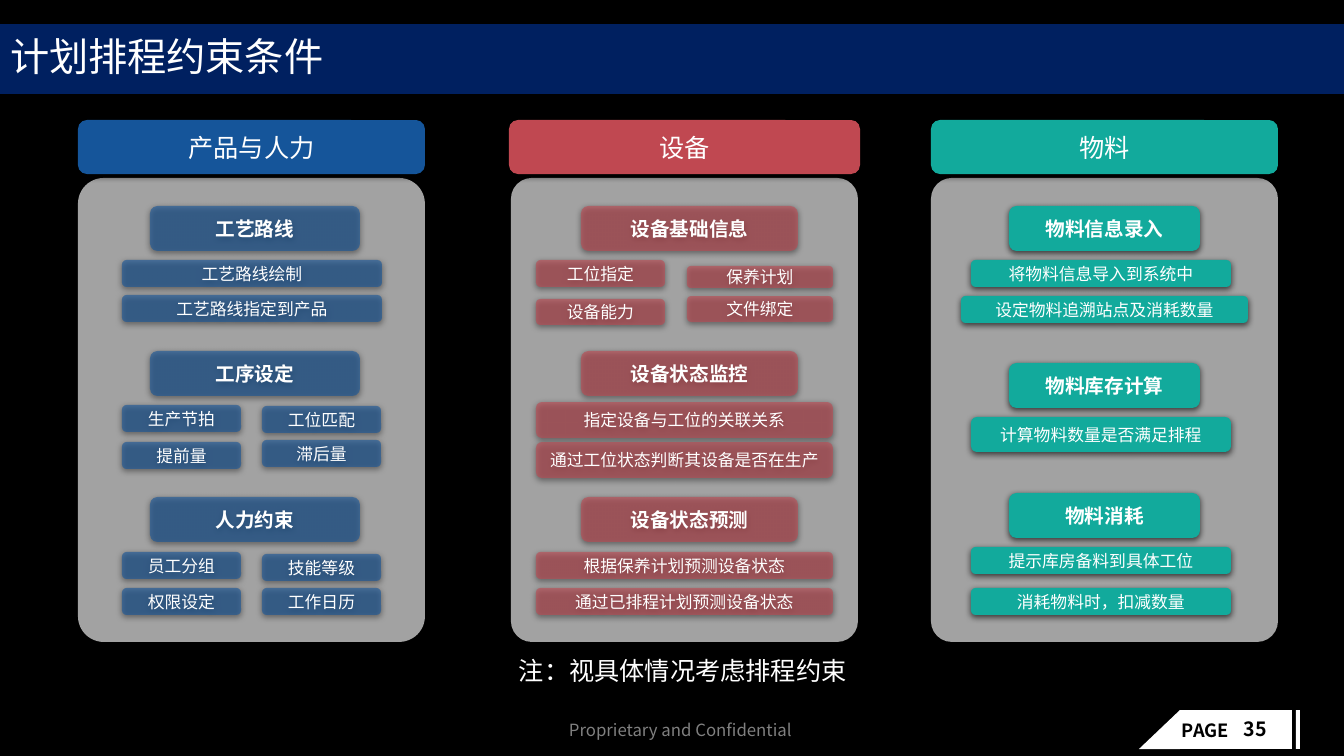
from lxml import etree
from pptx import Presentation
from pptx.dml.color import RGBColor
from pptx.enum.shapes import MSO_SHAPE
from pptx.enum.text import MSO_ANCHOR, MSO_AUTO_SIZE, PP_ALIGN
from pptx.oxml.ns import qn
from pptx.util import Pt

ROUNDED = MSO_SHAPE.ROUNDED_RECTANGLE
RECTANGLE = MSO_SHAPE.RECTANGLE
RIGHT_TRIANGLE = MSO_SHAPE.RIGHT_TRIANGLE
MIDDLE = MSO_ANCHOR.MIDDLE
NO_AUTOFIT = MSO_AUTO_SIZE.NONE
LEFT, CENTER = PP_ALIGN.LEFT, PP_ALIGN.CENTER

SLIDE_W, SLIDE_H = 1344, 756
SCALE = 12192000 / SLIDE_W
FONT = "Noto Sans CJK SC"
COLORS = {
    "black": "000000", "white": "FFFFFF", "navy": "002060", "grey": "808080",
    "panel": "D9D9D9", "blue": "15559A", "red": "C04851", "teal": "12AA9C",
}
HEADER_Y, HEADER_H = 120, 54
PANEL_Y, PANEL_W, PANEL_H = 178, 347, 464
HEADING_H, ITEM_H = 45, 27

COLUMNS = [
    {
        "title": "产品与人力", "color": "blue", "alpha": 60,
        "header": (78, 347), "panel_x": 78, "corner": 0.074, "heading": (150, 210),
        "slots": {"wide": (122, 260), "left": (122, 119), "right": (262, 119)},
        "groups": [
            ("工艺路线", 206, [("工艺路线绘制", "wide", 260, ITEM_H),
                           ("工艺路线指定到产品", "wide", 295, ITEM_H)]),
            ("工序设定", 351, [("生产节拍", "left", 405, ITEM_H),
                           ("提前量", "left", 442, ITEM_H),
                           ("工位匹配", "right", 406, ITEM_H),
                           ("滞后量", "right", 440, ITEM_H)]),
            ("人力约束", 497, [("员工分组", "left", 552, ITEM_H),
                           ("权限设定", "left", 588, ITEM_H),
                           ("技能等级", "right", 554, ITEM_H),
                           ("工作日历", "right", 588, ITEM_H)]),
        ],
    },
    {
        "title": "设备", "color": "red", "alpha": 60,
        "header": (509, 351), "panel_x": 511, "corner": 0.06, "heading": (581, 217),
        "slots": {"wide": (536, 297), "left": (536, 129), "right": (687, 146)},
        "groups": [
            ("设备基础信息", 206, [("工位指定", "left", 260, ITEM_H),
                             ("设备能力", "left", 299, 26),
                             ("保养计划", "right", 266, 22),
                             ("文件绑定", "right", 296, 26)]),
            ("设备状态监控", 351, [("指定设备与工位的关联关系", "wide", 402, 36),
                             ("通过工位状态判断其设备是否在生产", "wide", 442, 36)]),
            ("设备状态预测", 497, [("根据保养计划预测设备状态", "wide", 552, ITEM_H),
                             ("通过已排程计划预测设备状态", "wide", 588, ITEM_H)]),
        ],
    },
    {
        "title": "物料", "color": "teal", "alpha": 100,
        "header": (931, 347), "panel_x": 931, "corner": 0.06, "heading": (1009, 191),
        "slots": {"wide": (971, 260), "extra": (961, 287)},
        "groups": [
            ("物料信息录入", 206, [("将物料信息导入到系统中", "wide", 260, ITEM_H),
                             ("设定物料追溯站点及消耗数量", "extra", 296, ITEM_H)]),
            ("物料库存计算", 363, [("计算物料数量是否满足排程", "wide", 417, 35)]),
            ("物料消耗", 493, [("提示库房备料到具体工位", "wide", 547, ITEM_H),
                           ("消耗物料时，扣减数量", "wide", 588, ITEM_H)]),
        ],
    },
]


def px(*lengths):
    """Turn pixel lengths into EMU."""
    return [round(length * SCALE) for length in lengths]


def rgb(color):
    """Look up a named colour."""
    return RGBColor.from_string(COLORS[color])


def write(frame, text, size, color="white", bold=False, align=LEFT):
    """Fill a text frame with one vertically centred paragraph."""
    frame.text = text
    frame.word_wrap = True
    frame.vertical_anchor = MIDDLE
    paragraph = frame.paragraphs[0]
    paragraph.alignment = align
    font = paragraph.font
    font.name, font.size, font.bold = FONT, Pt(size), bold
    font.color.rgb = rgb(color)
    defaults = paragraph._p.pPr.find(qn("a:defRPr"))
    etree.SubElement(defaults, qn("a:ea"), typeface=FONT)


def add_block(slide, kind, box, color, alpha=100):
    """Add a borderless filled shape, optionally translucent."""
    block = slide.shapes.add_shape(kind, *px(*box))
    block.shadow.inherit = False
    block.line.fill.background()
    block.fill.solid()
    block.fill.fore_color.rgb = rgb(color)
    if alpha < 100:
        fill_color = block._element.spPr.find(".//" + qn("a:srgbClr"))
        etree.SubElement(fill_color, qn("a:alpha"), val=str(alpha * 1000))
    return block


def add_shadow(block):
    """Give a shape a soft shadow falling straight down."""
    effects = block._element.spPr.find(qn("a:effectLst"))
    shadow = etree.SubElement(effects, qn("a:outerShdw"), blurRad=str(Pt(4.5)),
                              dist=str(Pt(1.5)), dir="5400000", rotWithShape="0")
    shade = etree.SubElement(shadow, qn("a:srgbClr"), val=COLORS["black"])
    etree.SubElement(shade, qn("a:alpha"), val="63000")


def add_label(slide, box, text, size, color, alpha=100, bold=False):
    """Add a shadowed rounded label with centred white text."""
    label = add_block(slide, ROUNDED, box, color, alpha)
    add_shadow(label)
    frame = label.text_frame
    frame.margin_left = frame.margin_right = 0
    frame.margin_top = frame.margin_bottom = 0
    write(frame, text, size, bold=bold, align=CENTER)


def add_text(slide, box, text, size, color, bold=False):
    """Add a text box wide enough for its single line."""
    frame = slide.shapes.add_textbox(*px(*box)).text_frame
    write(frame, text, size, color, bold)


def add_title(slide, text):
    """Turn the title placeholder into the banner."""
    title = slide.shapes.title
    title.left, title.top, title.width, title.height = px(0, 24, SLIDE_W, 70)
    title.fill.solid()
    title.fill.fore_color.rgb = rgb("navy")
    frame = title.text_frame
    write(frame, text, 28)
    frame.auto_size = NO_AUTOFIT
    frame.paragraphs[0].line_spacing = 0.9


def add_column(slide, column):
    """Add one constraint column: panel, header, headings and items."""
    color, alpha = column["color"], column["alpha"]
    panel = add_block(slide, ROUNDED, (column["panel_x"], PANEL_Y, PANEL_W, PANEL_H),
                      "panel", 75)
    panel.adjustments[0] = column["corner"]
    header_x, header_w = column["header"]
    add_label(slide, (header_x, HEADER_Y, header_w, HEADER_H), column["title"], 18, color)
    heading_x, heading_w = column["heading"]
    for heading, heading_y, items in column["groups"]:
        add_label(slide, (heading_x, heading_y, heading_w, HEADING_H),
                  heading, 14, color, alpha, bold=True)
        for item, slot, y, height in items:
            x, width = column["slots"][slot]
            add_label(slide, (x, y, width, height), item, 12, color, alpha)


def add_footer(slide):
    """Add the confidentiality line and the page tab."""
    for x, width in ((1180, 112), (1296, 4)):
        add_block(slide, RECTANGLE, (x, 710, width, 39), "white")
    slant = add_block(slide, RIGHT_TRIANGLE, (1139, 710, 41, 39), "white")
    slant._element.spPr.xfrm.set("flipH", "1")
    add_text(slide, (1172, 714, 74, 32), "PAGE", 13, "black", bold=True)
    add_text(slide, (1234, 713, 58, 32), "35", 14, "black", bold=True)
    add_text(slide, (559, 715, 258, 30), "Proprietary and Confidential", 12, "grey")


def main():
    """Build the slide and save it."""
    deck = Presentation()
    deck.slide_width, deck.slide_height = px(SLIDE_W, SLIDE_H)
    slide = deck.slides.add_slide(deck.slide_layouts[5])
    slide.background.fill.solid()
    slide.background.fill.fore_color.rgb = rgb("black")
    add_footer(slide)
    add_title(slide, "计划排程约束条件")
    for column in COLUMNS:
        add_column(slide, column)
    add_text(slide, (509, 647, 360, 46), "注：视具体情况考虑排程约束", 18, "white")
    deck.save("out.pptx")


if __name__ == "__main__":
    main()
